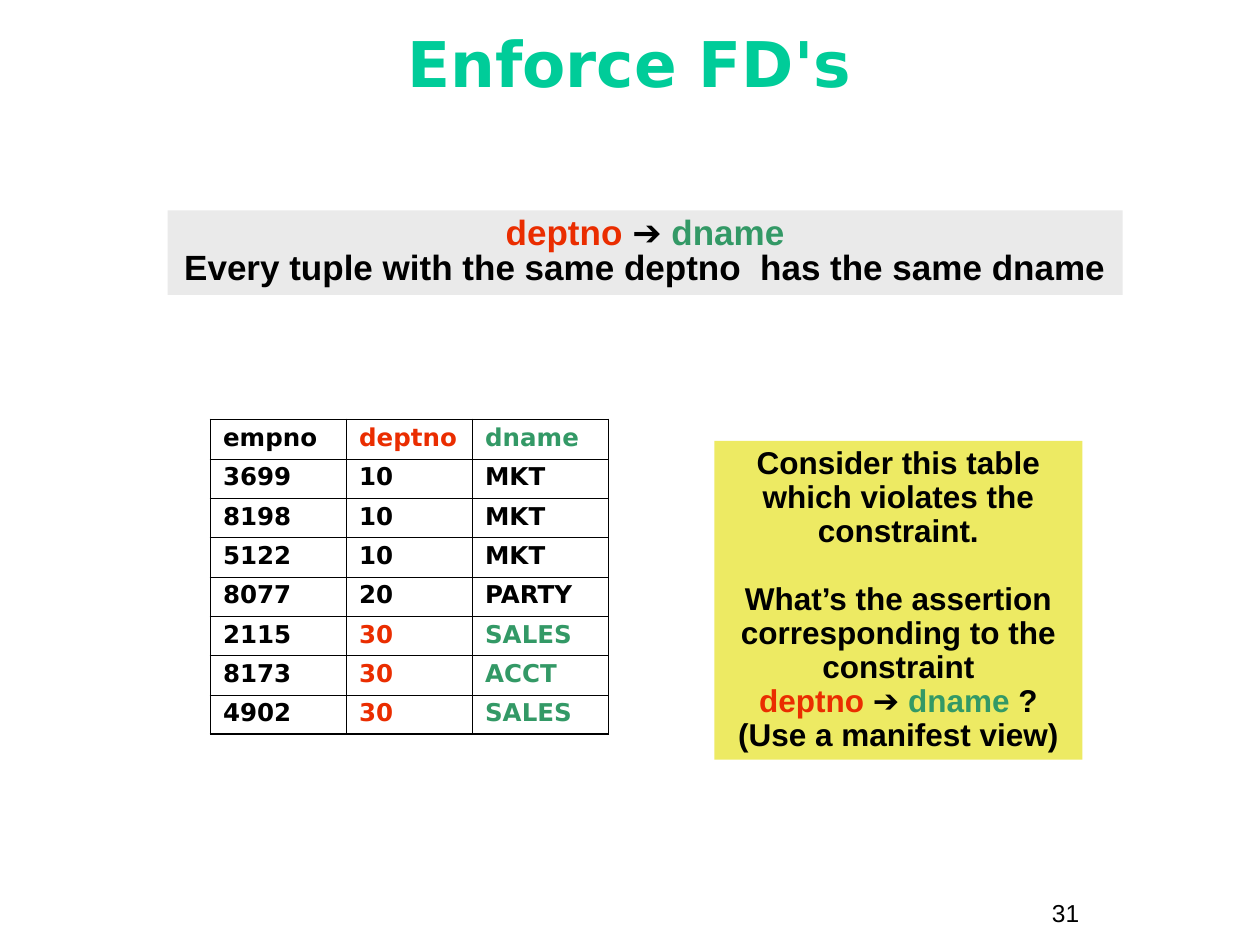
"""Build the slide on enforcing functional dependencies."""
import lxml.etree
import pptx
import pptx.dml.color
import pptx.enum.shapes
import pptx.enum.text
import pptx.oxml.ns
import pptx.util

Inches = pptx.util.Inches
Pt = pptx.util.Pt
ALIGN = pptx.enum.text.PP_ALIGN
ANCHOR = pptx.enum.text.MSO_ANCHOR

THEME = {
    "ink": "000000", "title": "00CC99", "red": "EA2D00", "green": "339966",
    "band": "EAEAEA", "note": "EDEA63",
    "sans": "Arial", "wide": "DejaVu Sans",
    "head": 36, "rule": 20, "body": 18, "small": 14,
    "thick": 1.08, "thin": 0.45,
}

FD = [("deptno ", "red"), ("➔ ", "ink"), ("dname", "green")]
TITLE = [[[("Enforce FD's", "title")]]]
RULE = [[FD, [("Every tuple with the same deptno  has the same dname", "ink")]]]
NOTE = [
    [[("Consider this table", "ink")],
     [("which violates the constraint.", "ink")]],
    [[("What’s the assertion", "ink")],
     [("corresponding to the constraint", "ink")],
     FD + [(" ?", "ink")],
     [("(Use a manifest view)", "ink")]],
]
PAGE = [[[("31", "ink")]]]

ROWS = [
    ("empno", "deptno", "dname"),
    ("3699", "10", "MKT"),
    ("8198", "10", "MKT"),
    ("5122", "10", "MKT"),
    ("8077", "20", "PARTY"),
    ("2115", "30", "SALES"),
    ("8173", "30", "ACCT"),
    ("4902", "30", "SALES"),
]
TONES = ("ink", "red", "green")
WIDTHS = (1.08, 1, 1.08)
HEIGHT = 2.5


def color(name):
    return pptx.dml.color.RGBColor.from_string(THEME[name])


def style(font, size, tone, face, bold=True):
    font.size, font.bold, font.name = Pt(THEME[size]), bold, THEME[face]
    font.color.rgb = color(tone)


def write(shape, paras, size, face="sans", align=ALIGN.CENTER, lead=0.9,
          gap=0, bold=True, anchor=ANCHOR.TOP):
    frame = shape.text_frame
    frame.word_wrap, frame.vertical_anchor = True, anchor
    for i, lines in enumerate(paras):
        para = frame.add_paragraph() if i else frame.paragraphs[0]
        para.alignment, para.line_spacing = align, lead
        para.space_before = Pt(gap if i else 0)
        for j, parts in enumerate(lines):
            if j:
                para.add_line_break()
            for text, tone in parts:
                run = para.add_run()
                run.text = text
                style(run.font, size, tone, face, bold)


def panel(slide, box, fill):
    kind = pptx.enum.shapes.MSO_SHAPE.RECTANGLE
    shape = slide.shapes.add_shape(kind, *map(Inches, box))
    shape.shadow.inherit = False
    shape.fill.solid()
    shape.fill.fore_color.rgb = color(fill)
    shape.line.fill.background()
    return shape


def edge(cell, side, weight):
    qn = pptx.oxml.ns.qn
    props = cell._tc.get_or_add_tcPr()
    line = lxml.etree.SubElement(props, qn("a:ln" + side), w=str(Pt(THEME[weight])))
    fill = lxml.etree.SubElement(line, qn("a:solidFill"))
    lxml.etree.SubElement(fill, qn("a:srgbClr"), val=THEME["ink"])


def grid(slide, left, top):
    count, cols = len(ROWS), len(WIDTHS)
    box = map(Inches, (left, top, sum(WIDTHS), HEIGHT))
    table = slide.shapes.add_table(count, cols, *box).table
    table.first_row = table.horz_banding = False
    for col, width in zip(table.columns, WIDTHS):
        col.width = Inches(width)
    for r, row in enumerate(ROWS):
        table.rows[r].height = Inches(HEIGHT / count)
        marked = r == 0 or row[1] == "30"
        for c, text in enumerate(row):
            cell = table.cell(r, c)
            outer = {"L": c == 0, "R": c == cols - 1,
                     "T": r == 0, "B": r == count - 1}
            for side, thick in outer.items():
                edge(cell, side, "thick" if thick else "thin")
            cell.fill.background()
            para = cell.text_frame.paragraphs[0]
            para.text, para.line_spacing = text, 0.9
            style(para.runs[0].font, "small", TONES[c] if marked else "ink", "wide")


def main():
    deck = pptx.Presentation()
    deck.slide_width, deck.slide_height = Inches(10), Inches(7.5)
    slide = deck.slides.add_slide(deck.slide_layouts[6])
    page = slide.shapes.add_textbox(*map(Inches, (8.25, 7.08, 0.92, 0.34)))
    write(page, PAGE, "small", align=ALIGN.LEFT, lead=1, bold=False)
    title = slide.shapes.add_textbox(*map(Inches, (0.33, 0.08, 9.33, 0.92)))
    write(title, TITLE, "head", "wide", lead=0.85, anchor=ANCHOR.MIDDLE)
    write(panel(slide, (1.33, 1.67, 7.58, 0.67), "band"), RULE, "rule", lead=0.85)
    grid(slide, 1.67, 3.33)
    write(panel(slide, (5.67, 3.5, 2.92, 2.53), "note"), NOTE, "body", gap=19.4)
    deck.save("out.pptx")


if __name__ == "__main__":
    main()
